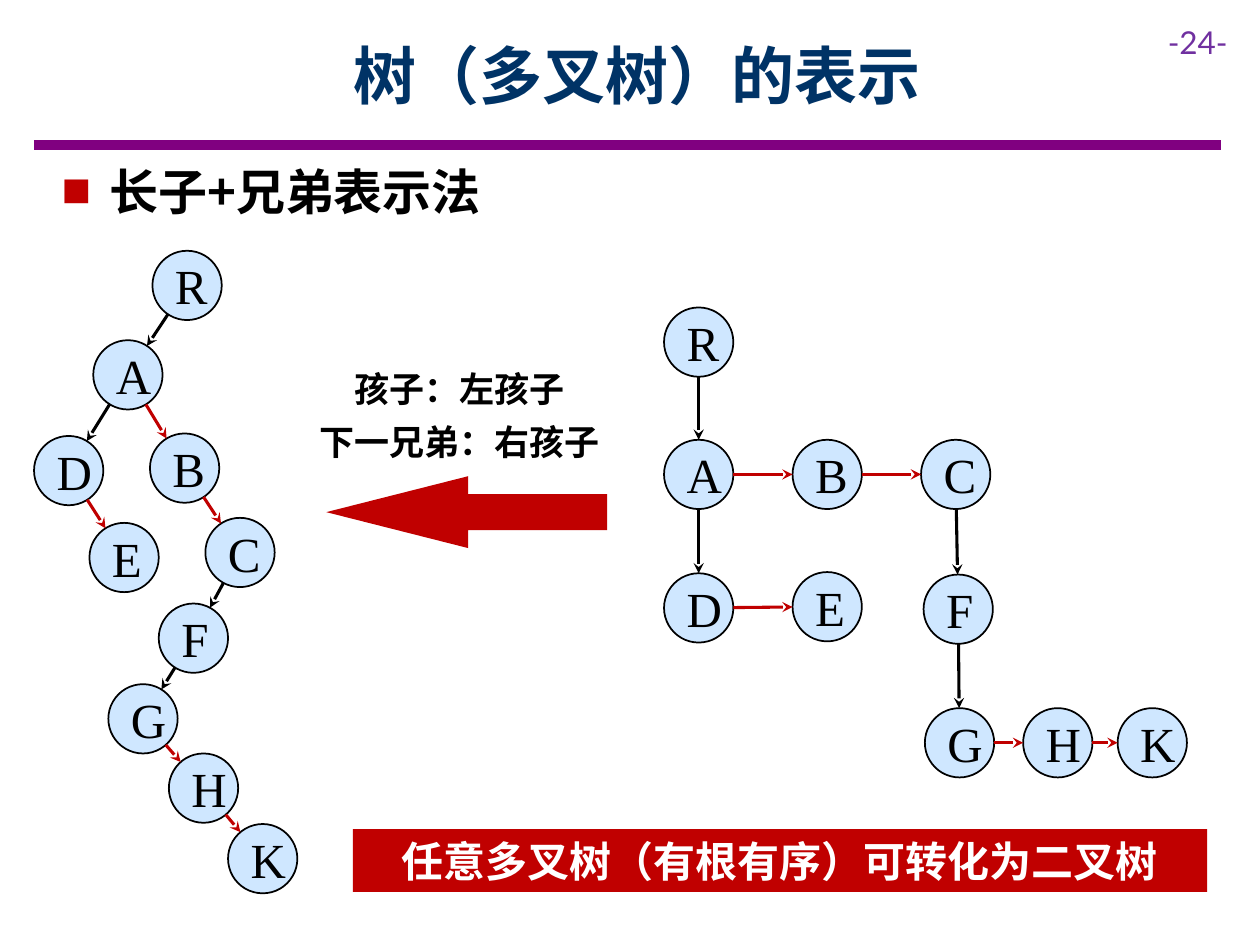
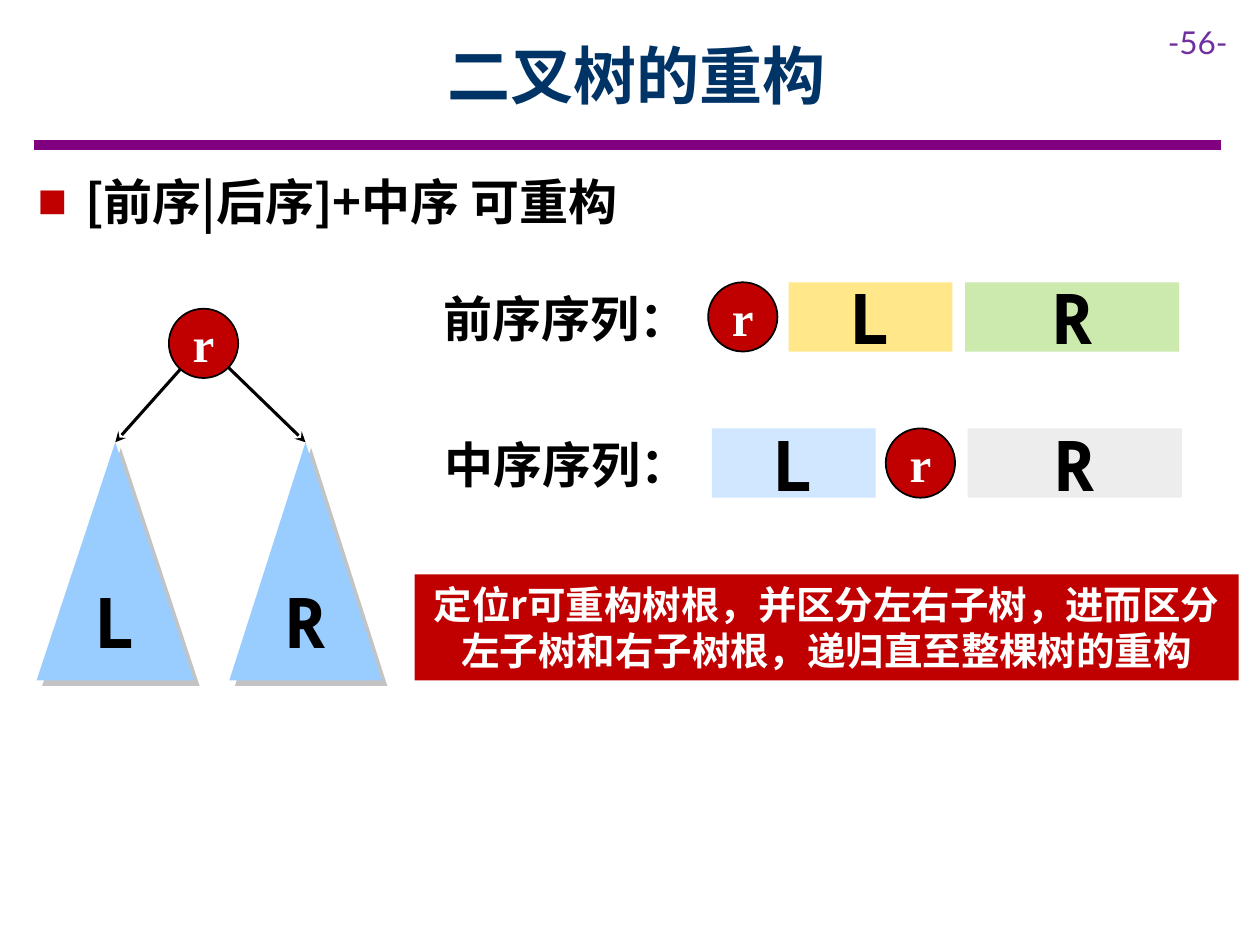
import math
from dataclasses import dataclass

import pptx
import pptx.dml.color
import pptx.enum.shapes
import pptx.enum.text
import pptx.oxml
import pptx.oxml.ns
import pptx.util

Inches = pptx.util.Inches
Pt = pptx.util.Pt
RGB = pptx.dml.color.RGBColor.from_string
SHAPE = pptx.enum.shapes.MSO_SHAPE
ALIGN = pptx.enum.text.PP_ALIGN
ANCHOR = pptx.enum.text.MSO_ANCHOR
AUTO = pptx.enum.text.MSO_AUTO_SIZE
qn = pptx.oxml.ns.qn


@dataclass(frozen=True)
class Theme:
    cjk: str = "Noto Sans CJK SC"
    serif: str = "Times New Roman"
    mono: str = "Noto Sans Mono"
    cambria: str = "Cambria"
    lato: str = "Lato"
    black: str = "000000"
    white: str = "FFFFFF"
    navy: str = "003366"
    purple: str = "800080"
    violet: str = "7030A0"
    red: str = "C00000"
    sky: str = "99CCFF"
    gold: str = "FFCC00"
    green: str = "92D050"
    grey: str = "D9D9D9"
    shade: str = "888888"
    title: int = 36
    block: int = 40
    body: int = 28
    banner: int = 24
    note: int = 22
    caption: int = 20
    page: int = 18
    arrow: float = 1.75
    node: float = 0.55


T = Theme()
CHILD = ["RA", "AD", "CF", "FG"]
SIBLING = ["AB", "BC", "DE", "GH", "HK"]


def assign(obj, values):
    for name, value in values.items():
        setattr(obj, name, value)


def add_xml(parent, tag, body="", **attrs):
    values = " ".join(f'{k}="{v}"' for k, v in attrs.items())
    ns = pptx.oxml.ns.nsdecls("a")
    e = pptx.oxml.parse_xml(f"<a:{tag} {ns} {values}>{body}</a:{tag}>")
    parent.append(e)
    return e


def write(sp, lines, size, font=T.cjk, color=T.black, bold=True,
          align=ALIGN.LEFT, anchor=ANCHOR.TOP, grow=False, inset=None,
          after=0, bullet=False):
    tf = sp.text_frame
    assign(tf, dict(word_wrap=True, vertical_anchor=anchor,
                    auto_size=AUTO.SHAPE_TO_FIT_TEXT if grow else AUTO.NONE))
    if inset is not None:
        sides = ("left", "top", "right", "bottom")
        assign(tf, {f"margin_{side}": Inches(inset) for side in sides})
    for i, line in enumerate(lines):
        p = tf.add_paragraph() if i else tf.paragraphs[0]
        assign(p, dict(alignment=align, space_after=Pt(after)))
        if bullet:
            ppr = p._p.get_or_add_pPr()
            ppr.set("marL", str(Inches(0.38)))
            ppr.set("indent", str(Inches(-0.38)))
            add_xml(ppr, "buClr", f'<a:srgbClr val="{T.red}"/>')
            add_xml(ppr, "buFont", typeface=T.serif)
            add_xml(ppr, "buChar", char="■")
        r = p.add_run()
        r.text = line
        assign(r.font, dict(name=font, size=Pt(size), bold=bold))
        r.font.color.rgb = RGB(color)
        add_xml(r._r.get_or_add_rPr(), "ea",
                typeface=T.cjk if font == T.cambria else font)


def add_text(shapes, box, lines, size, **style):
    sp = shapes.add_textbox(*map(Inches, box))
    write(sp, lines, size, **style)
    return sp


def add_shape(shapes, kind, box, fill, alpha=100, line=None):
    sp = shapes.add_shape(kind, *map(Inches, box))
    sp.shadow.inherit = False
    sp.fill.solid()
    sp.fill.fore_color.rgb = RGB(fill)
    if alpha < 100:
        color = sp._element.spPr.find(qn("a:solidFill"))[0]
        add_xml(color, "alpha", val=alpha * 1000)
    if line:
        sp.line.color.rgb = RGB(line)
        sp.line.width = Pt(1)
    else:
        sp.line.fill.background()
    return sp


def add_line(shapes, start, end, color, width, arrow=False):
    c = shapes.add_connector(pptx.enum.shapes.MSO_CONNECTOR.STRAIGHT,
                             *map(Inches, (*start, *end)))
    c.line.color.rgb = RGB(color)
    c.line.width = Pt(width)
    if arrow:
        add_xml(c.line._get_or_add_ln(), "tailEnd", type="stealth")
    add_xml(c._element.spPr, "effectLst")


def add_arrow(shapes, start, end, color, end_gap=T.node / 2):
    (x1, y1), (x2, y2) = start, end
    d = math.dist(start, end)
    ux, uy = (x2 - x1) / d, (y2 - y1) / d
    gap = T.node / 2
    add_line(shapes, (x1 + ux * gap, y1 + uy * gap),
             (x2 - ux * end_gap, y2 - uy * end_gap), color, T.arrow, True)


def add_node(shapes, x, y, label, root=False):
    fill, alpha, color = (T.red, 100, T.white) if root else (T.sky, 47, T.black)
    sp = add_shape(shapes, SHAPE.OVAL, (x, y, T.node, T.node), fill, alpha, T.black)
    write(sp, [label], T.body, font=T.serif, color=color, bold=root,
          align=ALIGN.CENTER, anchor=ANCHOR.MIDDLE, inset=0.1)
    return x + T.node / 2, y + T.node / 2


def add_block(shapes, kind, box, label, fill, alpha=100):
    sp = add_shape(shapes, kind, box, fill, alpha)
    write(sp, [label], T.block, font=T.mono, align=ALIGN.CENTER,
          anchor=ANCHOR.MIDDLE, inset=0.1)
    return sp


def add_banner(s, box, text, size, font):
    sp = add_shape(s.shapes, SHAPE.RECTANGLE, box, T.red)
    write(sp, [text], size, font=font, color=T.white,
          align=ALIGN.CENTER, grow=True)


def add_frame(prs, title, page, point, point_box):
    s = prs.slides.add_slide(prs.slide_layouts[6])
    add_line(s.shapes, (0.27, 1.15), (9.69, 1.15), T.purple, 6)
    add_text(s.shapes, (9.17, 0.13, 0.83, 0.4), [f"-{page}-"], T.page,
             font=T.lato, color=T.violet, bold=False, grow=True)
    add_text(s.shapes, (0.9, 0.09, 8.31, 1), [title], T.title, color=T.navy,
             align=ALIGN.CENTER, anchor=ANCHOR.MIDDLE)
    add_text(s.shapes, point_box, [point], T.body, grow=True, after=6, bullet=True)
    return s


def add_tree(shapes, left, top, places):
    centres = {label: add_node(shapes, left + x, top + y, label)
               for label, (x, y) in places.items()}
    for edges, color in ((CHILD, T.black), (SIBLING, T.red)):
        for a, b in edges:
            add_arrow(shapes, centres[a], centres[b], color)


def add_conversion(s, left, top, width):
    add_text(s.shapes, (left, top, width, 0.86), ["孩子：左孩子", "下一兄弟：右孩子"],
             T.caption, align=ALIGN.CENTER, grow=True, after=6)
    sp = add_shape(s.shapes, SHAPE.RIGHT_ARROW,
                   (left + 0.21, top + 0.91, width - 0.31, 0.57), T.red)
    sp.adjustments[1] = 1.974
    sp._element.spPr.find(qn("a:xfrm")).set("flipH", "1")


def add_root_tree(s, left, top):
    root = add_node(s.shapes, left + 1.05, top, "r", root=True)
    for label, x, width in (("L", 0, 1.25), ("R", 1.53, 1.21)):
        apex = (left + x + width / 2, top + 1.06)
        add_arrow(s.shapes, root, apex, T.black, end_gap=0)
        sp = add_block(s.shapes, SHAPE.ISOSCELES_TRIANGLE,
                       (left + x, apex[1], width, 1.89), label, T.sky)
        effects = sp._element.spPr.find(qn("a:effectLst"))
        add_xml(effects, "outerShdw",
                f'<a:srgbClr val="{T.shade}"><a:alpha val="50000"/></a:srgbClr>',
                blurRad=0, dist=Pt(4.5), dir=45 * 60000, algn="ctr", rotWithShape=0)


def add_sequence(s, left, top, name, parts):
    add_text(s.shapes, (left, top, 2.88, 0.57), [name], T.body, grow=True, after=6)
    for label, x, width, fill in parts:
        if label == "r":
            add_node(s.shapes, left + x, top, label, root=True)
        else:
            add_block(s.shapes, SHAPE.RECTANGLE,
                      (left + x, top, width, T.node), label, fill, 46)


def representation_slide(prs):
    s = add_frame(prs, "树（多叉树）的表示", 24, "长子+兄弟表示法", (0.39, 1.23, 4.06, 0.57))
    add_banner(s, (2.8, 6.58, 6.78, 0.5), "任意多叉树（有根有序）可转化为二叉树",
               T.banner, T.cambria)
    add_tree(s.shapes, 5.27, 2.44, {
        "R": (0, 0), "A": (0, 1.05), "D": (0, 2.11), "B": (1.02, 1.05),
        "C": (2.04, 1.05), "E": (1.02, 2.1), "F": (2.06, 2.12),
        "G": (2.07, 3.18), "H": (2.85, 3.18), "K": (3.6, 3.18)})
    add_tree(s.shapes.add_group_shape().shapes, 0.27, 1.99, {
        "R": (0.94, 0), "A": (0.47, 0.71), "D": (0, 1.47), "B": (0.92, 1.45),
        "C": (1.36, 2.12), "E": (0.44, 2.16), "F": (0.99, 2.8),
        "G": (0.59, 3.44), "H": (1.07, 3.99), "K": (1.54, 4.55)})
    add_conversion(s, 2.38, 2.87, 2.54)


def reconstruction_slide(prs):
    s = add_frame(prs, "二叉树的重构", 56, "[前序|后序]+中序 可重构", (0.2, 1.31, 5.59, 0.57))
    add_root_tree(s, 0.29, 2.45)
    add_sequence(s, 3.42, 2.24, "前序序列：", [
        ("r", 2.2, T.node, T.red), ("L", 2.84, 1.3, T.gold), ("R", 4.24, 1.7, T.green)])
    add_sequence(s, 3.43, 3.4, "中序序列：", [
        ("L", 2.22, 1.3, T.sky), ("r", 3.6, T.node, T.red), ("R", 4.25, 1.7, T.grey)])
    add_banner(s, (3.29, 4.56, 6.54, 0.84),
               "定位r可重构树根，并区分左右子树，进而区分左子树和右子树根，递归直至整棵树的重构",
               T.note, T.cjk)


def main():
    prs = pptx.Presentation()
    assign(prs, dict(slide_width=Inches(10), slide_height=Inches(7.5)))
    representation_slide(prs)
    reconstruction_slide(prs)
    prs.save("out.pptx")


if __name__ == "__main__":
    main()
